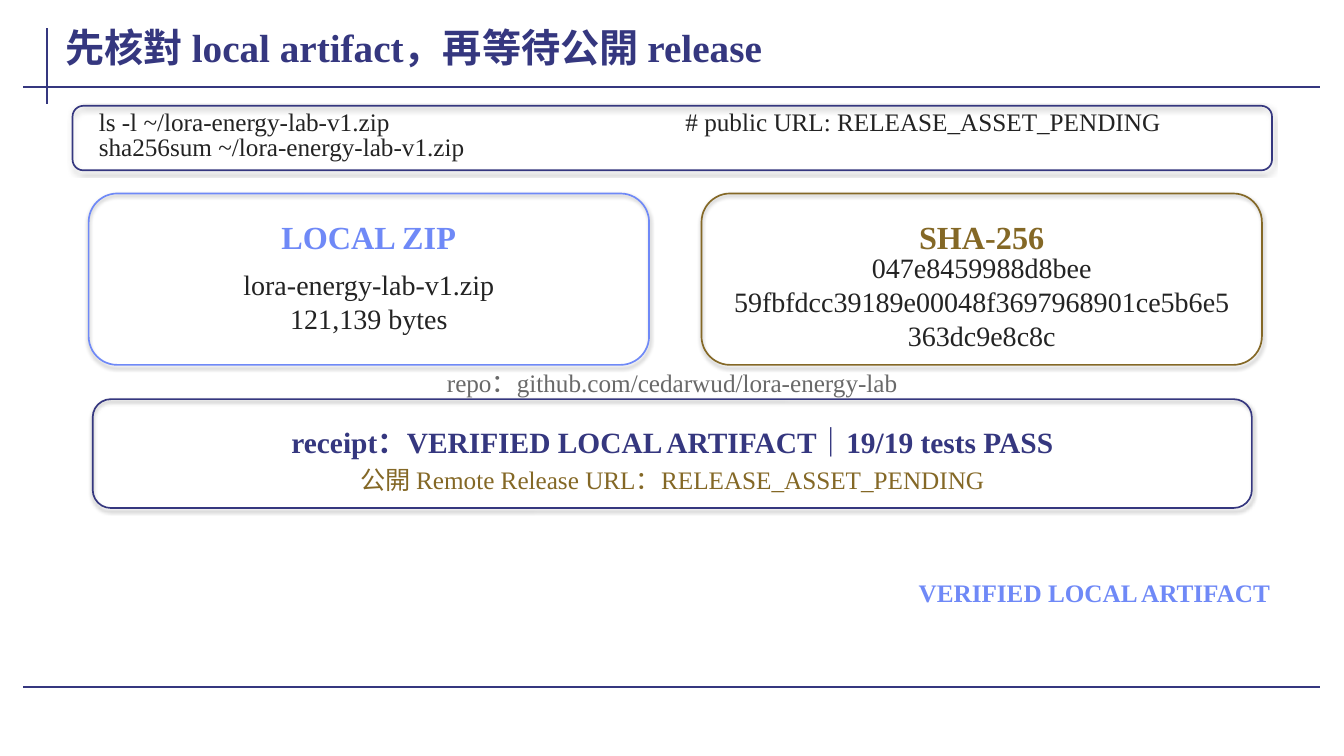
from lxml import etree
from pptx import Presentation
from pptx.dml.color import RGBColor
from pptx.enum.shapes import MSO_CONNECTOR as Connector, MSO_SHAPE as Shape
from pptx.enum.text import MSO_ANCHOR as Anchor, MSO_AUTO_SIZE as AutoSize, PP_ALIGN as Align
from pptx.oxml import parse_xml
from pptx.oxml.ns import nsdecls, qn
from pptx.util import Pt

NAVY, BLUE, BROWN, INK, GREY = "35377F", "6F89F7", "846826", "232323", "696969"
PADDED, TIGHT = (5.76, 4.32), (1.44, 0)
SHADOW = f"""<a:effectLst {nsdecls("a")}>
  <a:outerShdw blurRad="{Pt(3.1)}" dist="{Pt(1.8)}" dir="5400000" rotWithShape="0">
    <a:srgbClr val="000000"><a:alpha val="35000"/></a:srgbClr>
  </a:outerShdw>
</a:effectLst>"""

color = RGBColor.from_string


def write(box, text, size, hue, bold=False, align=Align.LEFT, inset=PADDED):
    frame = box.text_frame
    frame.text = text
    frame.vertical_anchor = Anchor.MIDDLE
    frame.margin_left = frame.margin_right = Pt(inset[0])
    frame.margin_top = frame.margin_bottom = Pt(inset[1])
    for para in frame.paragraphs:
        para.alignment = align
        for span in para.runs:
            span.font.name = "Times New Roman"
            span.font.size = Pt(size)
            span.font.bold = bold
            span.font.color.rgb = color(hue)


def add_text(left, top, width, height, *style, wrap=True, **options):
    box = page.shapes.add_textbox(Pt(left), Pt(top), Pt(width), Pt(height))
    write(box, *style, **options)
    box.text_frame.word_wrap = wrap
    box.text_frame.auto_size = AutoSize.SHAPE_TO_FIT_TEXT


deck = Presentation()
deck.slide_width, deck.slide_height = Pt(960), Pt(540)
page = deck.slides.add_slide(deck.slide_layouts[5])

# Frame rules
for x1, y1, x2, y2 in [(33.84, 20.16, 33.84, 74.16),
                       (16.56, 61.92, 943.2, 61.92),
                       (16.56, 491.04, 943.2, 491.04)]:
    rule = page.shapes.add_connector(Connector.STRAIGHT, Pt(x1), Pt(y1), Pt(x2), Pt(y2))
    rule.line.color.rgb = color(NAVY)
    rule.line.width = Pt(1.5)
    etree.SubElement(rule.element.spPr, qn("a:effectLst"))

# Title
title = page.shapes.title
title.left, title.top, title.width, title.height = Pt(44.64), Pt(10.8), Pt(899.28), Pt(44.64)
write(title, "先核對 local artifact，再等待公開 release", 28, NAVY, True, inset=(2.16, 0.72))
title.text_frame.auto_size = AutoSize.NONE

# Outlined panels: commands, two cards, receipt
for left, top, width, height, hue in [(51.84, 75.6, 856.8, 46.08, NAVY),
                                      (63.36, 138.24, 400.32, 122.4, BLUE),
                                      (501.12, 138.24, 400.32, 122.4, BROWN),
                                      (66.24, 285.12, 828, 77.76, NAVY)]:
    panel = page.shapes.add_shape(Shape.ROUNDED_RECTANGLE, Pt(left), Pt(top), Pt(width), Pt(height))
    panel.fill.background()
    panel.line.color.rgb = color(hue)
    panel.line.width = Pt(1.2)
    panel.element.spPr.append(parse_xml(SHADOW))

# Commands
for left, top, command in [(64.8, 77.76, "ls -l ~/lora-energy-lab-v1.zip"),
                           (64.8, 95.76, "sha256sum ~/lora-energy-lab-v1.zip"),
                           (483.84, 77.76, "# public URL: RELEASE_ASSET_PENDING")]:
    add_text(left, top, 401.76, 18, command, 18, INK, wrap=False)

# Card texts
cards = [
    (63.36, BLUE, "LOCAL ZIP", "lora-energy-lab-v1.zip\n121,139 bytes"),
    (501.12, BROWN, "SHA-256",
     "047e8459988d8bee\n59fbfdcc39189e00048f3697968901ce5b6e5363dc9e8c8c"),
]
for left, hue, heading, body in cards:
    add_text(left + 12.96, 155.52, 374.4, 27.36, heading, 23, hue, True, Align.CENTER)
    add_text(left + 17.28, 194.4, 365.76, 41.76, body, 20, INK, False, Align.CENTER)

# Repository, receipt and status
add_text(83.52, 262.08, 793.44, 21.6, "repo：github.com/cedarwud/lora-energy-lab",
         18, GREY, False, Align.CENTER, TIGHT)
add_text(80.64, 300.96, 799.2, 28.8, "receipt：VERIFIED LOCAL ARTIFACT｜19/19 tests PASS",
         21, NAVY, True, Align.CENTER)
add_text(86.4, 331.2, 787.68, 23.04, "公開 Remote Release URL：RELEASE_ASSET_PENDING",
         18, BROWN, False, Align.CENTER, TIGHT)
add_text(576, 411.84, 332.64, 23.04, "VERIFIED LOCAL ARTIFACT",
         18, BLUE, True, Align.RIGHT, TIGHT)

deck.save("out.pptx")
